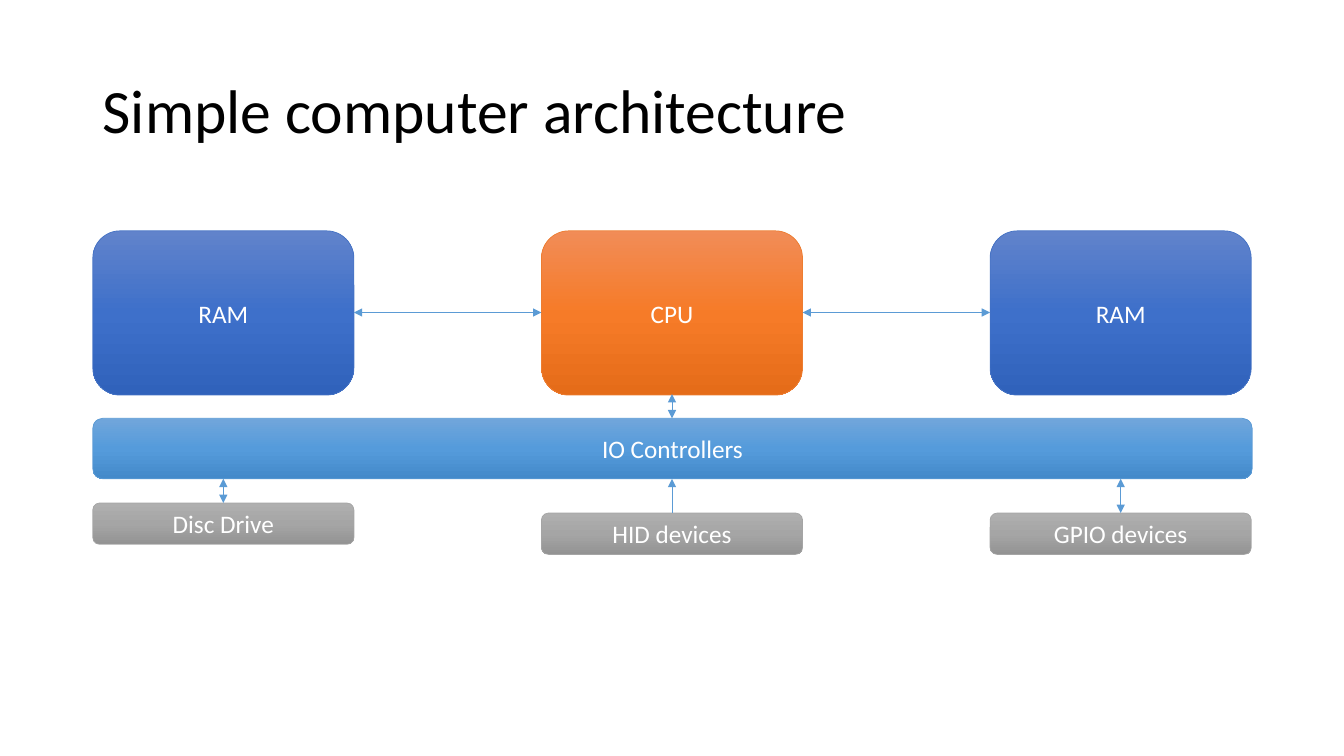
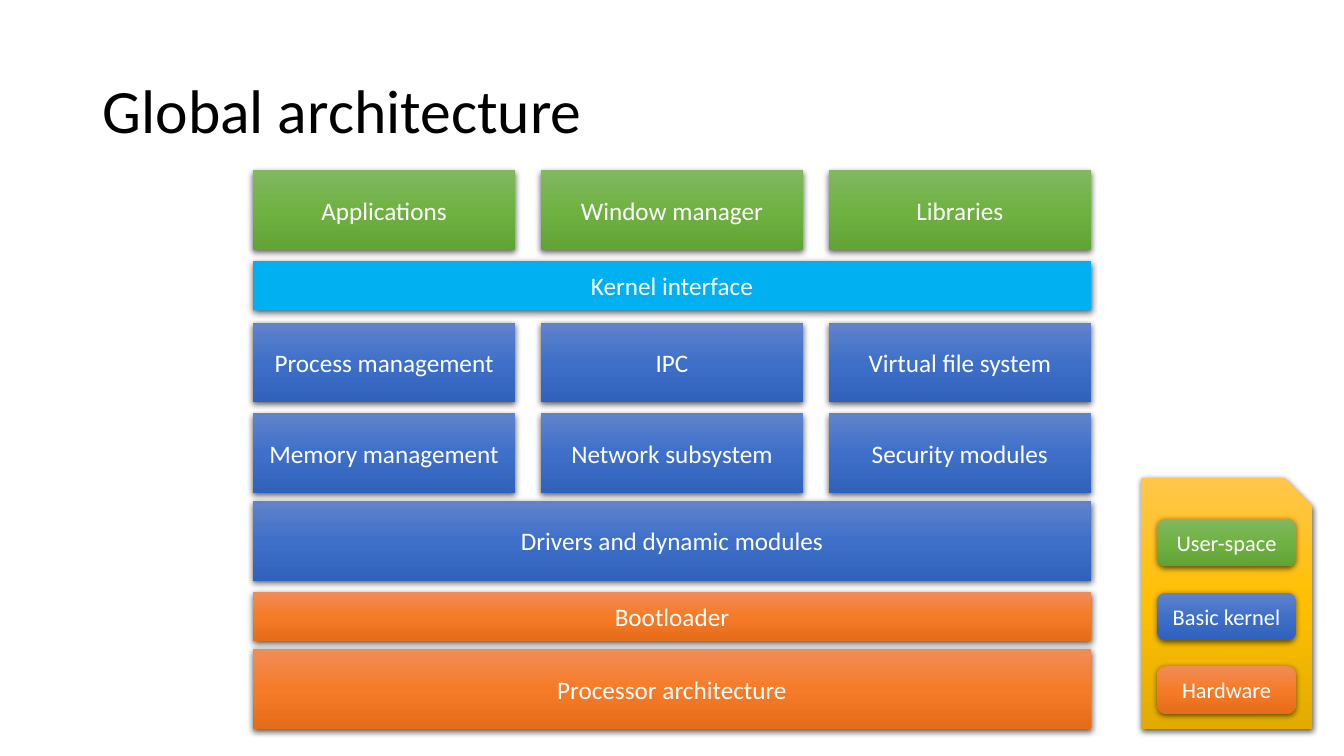
from copy import deepcopy

from lxml import etree
from pptx import Presentation
from pptx import util as u
from pptx.dml.color import RGBColor
from pptx.enum import shapes, text
from pptx.oxml.ns import qn

FONT = "Calibri"
INK = {"title": "000000", "label": "FFFFFF", "shade": "000000"}
# Each colour: edge, then top, middle and bottom of its gradient
FILLS = {
    "blue": ("4472C4", "6183CB", "3E70CA", "3062BB"),
    "orange": ("ED7D31", "F18C57", "F67B28", "E56C19"),
    "sky": ("5B9BD5", "71A6DB", "559BDB", "448ACA"),
    "gray": ("A5A5A5", "AFAFAF", "A5A5A5", "939393"),
    "green": ("70AD47", "81B861", "6FB242", "62A336"),
    "gold": ("FFC000", "FFC64B", "FFC000", "E3AB00"),
    "cyan": ("00B0F0",),
}
KINDS = shapes.MSO_SHAPE


def write(frame, words, size=18, color="label", align="CENTER", lead=1.0):
    frame.word_wrap = True
    frame.vertical_anchor = text.MSO_ANCHOR.MIDDLE
    para = frame.paragraphs[0]
    para.alignment = getattr(text.PP_ALIGN, align)
    para.line_spacing = lead
    run = para.add_run()
    run.text = words
    run.font.name = FONT
    run.font.size = u.Pt(size)
    run.font.color.rgb = RGBColor.from_string(INK[color])


def add(node, tag, **attrs):
    return etree.SubElement(node, qn(tag), {k: str(v) for k, v in attrs.items()})


class Deck:
    def __init__(self):
        self.file = Presentation()
        self.file.slide_width = u.Inches(13.33)
        self.file.slide_height = u.Inches(7.5)

    def page(self, title):
        self.slide = self.file.slides.add_slide(self.file.slide_layouts[6])
        spot = [u.Inches(n) for n in (0.92, 0.4, 11.5, 1.45)]
        box = self.slide.shapes.add_textbox(*spot)
        write(box.text_frame, title, size=44, color="title", align="LEFT", lead=0.9)

    def block(self, words, x, y, w, h, color, kind=KINDS.RECTANGLE, size=18, lift=True):
        """Draw a filled shape, raised by a shadow or else with a thin edge."""
        spot = [u.Inches(n) for n in (x, y, w, h)]
        shape = self.slide.shapes.add_shape(kind, *spot)
        edge, *tones = FILLS[color]
        self.paint(shape, edge, tones)
        shape.shadow.inherit = False
        if lift:
            shape.line.fill.background()
            self.shade(shape)
        else:
            shape.line.color.rgb = RGBColor.from_string(edge)
            shape.line.width = u.Pt(0.5)
        if words:
            write(shape.text_frame, words, size=size)

    def paint(self, shape, flat, tones):
        if not tones:
            shape.fill.solid()
            shape.fill.fore_color.rgb = RGBColor.from_string(flat)
            return
        shape.fill.gradient()
        shape.fill.gradient_angle = 270
        stops = shape._element.spPr.find(qn("a:gradFill")).find(qn("a:gsLst"))
        stops.append(deepcopy(stops[0]))
        for i, (stop, tone) in enumerate(zip(shape.fill.gradient_stops, tones)):
            stop.position = i / 2
            stop.color.rgb = RGBColor.from_string(tone)

    def shade(self, shape):
        effects = shape._element.spPr.find(qn("a:effectLst"))
        outer = add(effects, "a:outerShdw", blurRad=u.Pt(4.5), dist=u.Pt(1.5),
                    dir=90 * 60000, algn="ctr", rotWithShape=0)
        add(add(outer, "a:srgbClr", val=INK["shade"]), "a:alpha", val=63000)

    def arrow(self, x1, y1, x2, y2, ends=("head", "tail")):
        spot = [u.Inches(n) for n in (x1, y1, x2, y2)]
        line = self.slide.shapes.add_connector(shapes.MSO_CONNECTOR.STRAIGHT, *spot)
        line.line.color.rgb = RGBColor.from_string(FILLS["sky"][0])
        line.line.width = u.Pt(0.5)
        props = line._element.spPr
        for end in ends:
            add(props.find(qn("a:ln")), f"a:{end}End", type="triangle")
        add(props, "a:effectLst")


def computer(deck):
    deck.page("Simple computer architecture")
    left, wide, pitch = 0.92, 2.59, 4.45
    style = {"kind": KINDS.ROUNDED_RECTANGLE, "lift": False}
    cols = [left + i * pitch for i in range(3)]
    mids = [x + wide / 2 for x in cols]

    # Memory and processor, then the bus
    for x, name, color in zip(cols, ("RAM", "CPU", "RAM"), ("blue", "orange", "blue")):
        deck.block(name, x, 2.29, wide, 1.63, color, **style)
    deck.block("IO Controllers", left, 4.15, 11.5, 0.6, "sky", **style)

    # Devices, each linked up to the bus
    devices = (("Disc Drive", 4.99, ("head", "tail")),
               ("HID devices", 5.09, ("tail",)),
               ("GPIO devices", 5.09, ("head", "tail")))
    for x, mid, (name, top, ends) in zip(cols, mids, devices):
        deck.block(name, x, top, wide, 0.41, "gray", **style)
        deck.arrow(mid, top, mid, 4.75, ends)

    # Links of the processor
    for a, b in zip(cols, cols[1:]):
        deck.arrow(a + wide, 3.1, b, 3.1)
    deck.arrow(mids[1], 3.91, mids[1], 4.15)


def layers(deck):
    deck.page("Global architecture")
    left, full, cell = 2.51, 8.31, 2.6
    pitch = (full - cell) / 2

    # Stack of layers, from user space down to hardware
    stack = (
        (1.69, 0.79, "green", ("Applications", "Window manager", "Libraries")),
        (2.59, 0.49, "cyan", ("Kernel interface",)),
        (3.2, 0.79, "blue", ("Process management", "IPC", "Virtual file system")),
        (4.1, 0.79, "blue", ("Memory management", "Network subsystem", "Security modules")),
        (4.97, 0.79, "blue", ("Drivers and dynamic modules",)),
        (5.87, 0.49, "orange", ("Bootloader",)),
        (6.44, 0.79, "orange", ("Processor architecture",)),
    )
    for top, high, color, names in stack:
        wide = full if len(names) == 1 else cell
        for i, name in enumerate(names):
            deck.block(name, left + i * pitch, top, wide, high, color)

    # Legend
    deck.block("", 11.32, 4.74, 1.7, 2.49, "gold", KINDS.SNIP_1_RECTANGLE)
    keys = (("User-space", "green"), ("Basic kernel", "blue"), ("Hardware", "orange"))
    for i, (name, color) in enumerate(keys):
        deck.block(name, 11.48, 5.15 + i * 0.73, 1.37, 0.47, color,
                   KINDS.ROUNDED_RECTANGLE, size=16)


def main():
    deck = Deck()
    computer(deck)
    layers(deck)
    deck.file.save("out.pptx")


if __name__ == "__main__":
    main()
